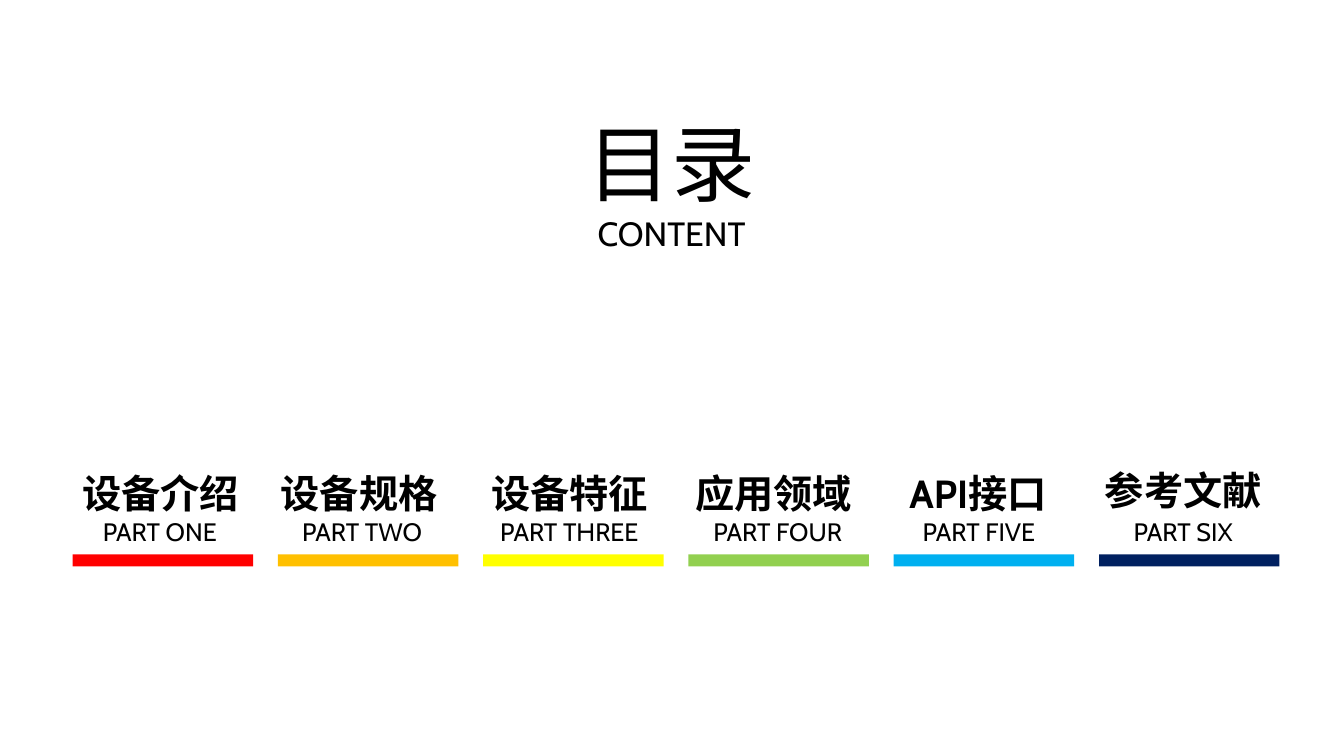
from dataclasses import dataclass

from pptx import Presentation
from pptx.dml.color import RGBColor
from pptx.enum.shapes import MSO_SHAPE
from pptx.enum.text import MSO_AUTO_SIZE, PP_ALIGN
from pptx.slide import Slide
from pptx.util import Inches, Pt

BLACK = RGBColor(0x00, 0x00, 0x00)
RED = RGBColor(0xFF, 0x00, 0x00)
ORANGE = RGBColor(0xFF, 0xC0, 0x00)
YELLOW = RGBColor(0xFF, 0xFF, 0x00)
GREEN = RGBColor(0x92, 0xD0, 0x50)
BLUE = RGBColor(0x00, 0xB0, 0xF0)
NAVY = RGBColor(0x00, 0x20, 0x60)

FONT_NAME = "Cabin"
HEADING = {"size": Pt(60), "bold": False}
SUBHEADING = {"size": Pt(24), "bold": False}
TITLE = {"size": Pt(28), "bold": True}
LABEL = {"size": Pt(18), "bold": False}

# Grid in inches: six equal columns, each marked by a bar
FIRST_LEFT, LAST_LEFT = 0.72, 10.9
BAR_TOP, BAR_WIDTH, BAR_HEIGHT = 5.5, 1.79, 0.12
TITLE_TOP, TITLE_WIDTH, TITLE_HEIGHT = 4.47, 1.92, 0.65
LABEL_TOP, LABEL_HEIGHT = 4.98, 0.49


@dataclass(frozen=True)
class Section:
    """A contents entry; shifts are measured from the middle of its bar."""
    title: str
    label: str
    color: RGBColor
    title_shift: float
    label_shift: float
    label_width: float
    title_rise: float = 0


SECTIONS = [
    Section("设备介绍", "PART ONE", RED, -0.02, -0.03, 1.6),
    Section("设备规格", "PART TWO", ORANGE, -0.09, -0.06, 1.74),
    Section("设备特征", "PART THREE", YELLOW, -0.04, -0.04, 1.87),
    Section("应用领域", "PART FOUR", GREEN, -0.05, -0.01, 1.54),
    Section("API接口", "PART FIVE", BLUE, -0.06, -0.05, 1.33),
    Section("参考文献", "PART SIX", NAVY, -0.06, -0.06, 1.34, 0.03),
]
COLUMN_PITCH = (LAST_LEFT - FIRST_LEFT) / (len(SECTIONS) - 1)


def add_centred_text(slide: Slide, middle: float, top: float, width: float, height: float,
                     lines: list[tuple[str, dict]], line_spacing: float | None = None,
                     wrap: bool = True) -> None:
    """Add a text box centred on middle, with one paragraph per (text, format) pair."""
    box = slide.shapes.add_textbox(
        Inches(middle - width / 2), Inches(top), Inches(width), Inches(height))
    frame = box.text_frame
    frame.word_wrap = wrap
    frame.auto_size = MSO_AUTO_SIZE.SHAPE_TO_FIT_TEXT
    for index, (text, text_format) in enumerate(lines):
        paragraph = frame.add_paragraph() if index else frame.paragraphs[0]
        paragraph.alignment = PP_ALIGN.CENTER
        paragraph.line_spacing = line_spacing
        run = paragraph.add_run()
        run.text = text
        run.font.color.rgb = BLACK
        for attribute, value in {"name": FONT_NAME, **text_format}.items():
            setattr(run.font, attribute, value)


def add_bar(slide: Slide, left: float, color: RGBColor) -> None:
    bar = slide.shapes.add_shape(
        MSO_SHAPE.RECTANGLE, Inches(left), Inches(BAR_TOP), Inches(BAR_WIDTH), Inches(BAR_HEIGHT))
    bar.shadow.inherit = False
    bar.fill.solid()
    bar.fill.fore_color.rgb = color
    bar.line.fill.background()


def add_section(slide: Slide, column: int, section: Section) -> None:
    left = FIRST_LEFT + column * COLUMN_PITCH
    middle = left + BAR_WIDTH / 2
    add_centred_text(slide, middle + section.label_shift, LABEL_TOP, section.label_width,
                     LABEL_HEIGHT, [(section.label, LABEL)], line_spacing=1.3)
    add_centred_text(slide, middle + section.title_shift, TITLE_TOP - section.title_rise,
                     TITLE_WIDTH, TITLE_HEIGHT, [(section.title, TITLE)], line_spacing=1.3)
    add_bar(slide, left, section.color)


def main() -> None:
    presentation = Presentation()
    presentation.slide_width = Inches(13.33)
    presentation.slide_height = Inches(7.5)
    slide = presentation.slides.add_slide(presentation.slide_layouts[6])
    add_centred_text(slide, 6.66, 1.06, 1.88, 1.51,
                     [("目录", HEADING), ("CONTENT", SUBHEADING)], wrap=False)
    for column, section in enumerate(SECTIONS):
        add_section(slide, column, section)
    presentation.save("out.pptx")


if __name__ == "__main__":
    main()
